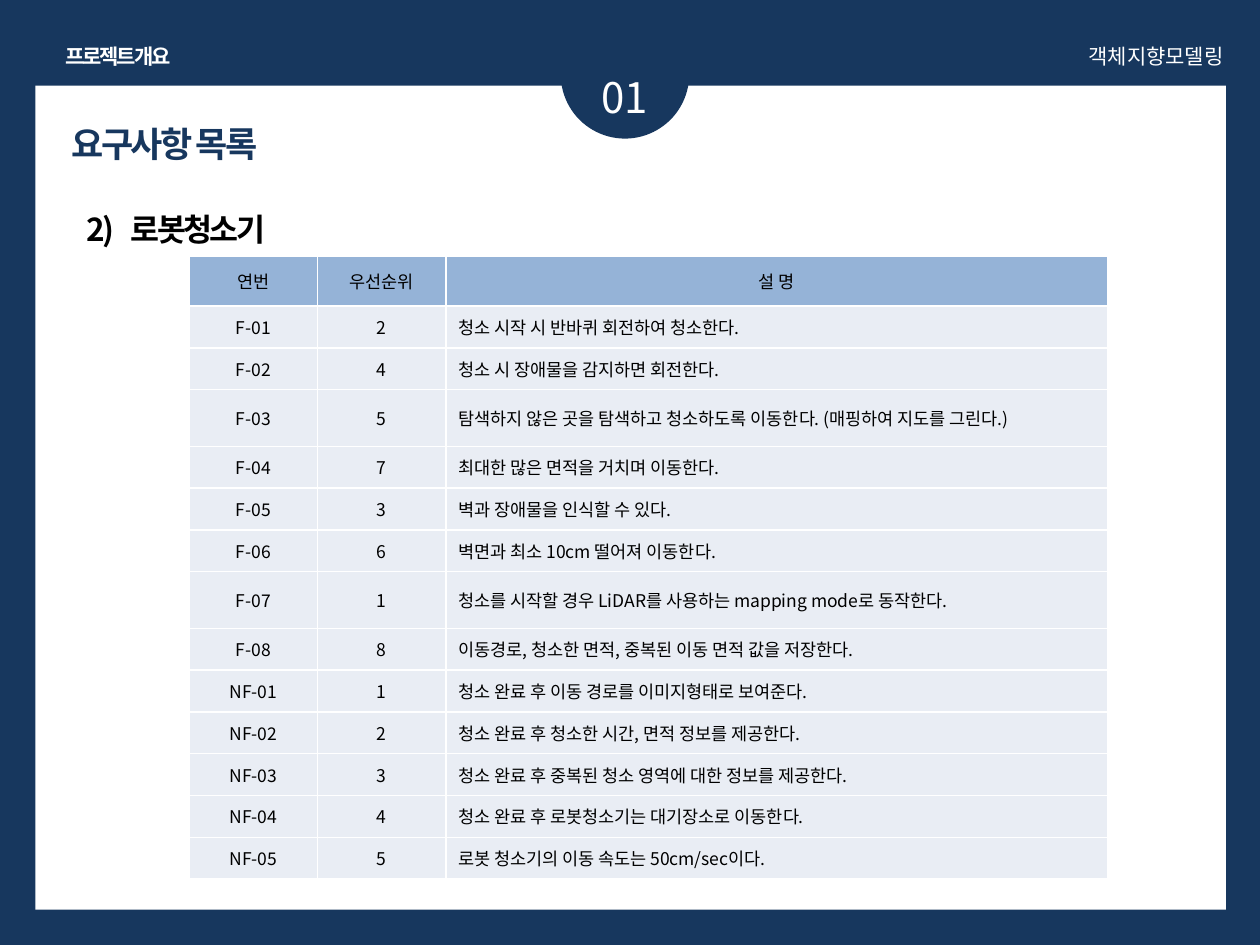
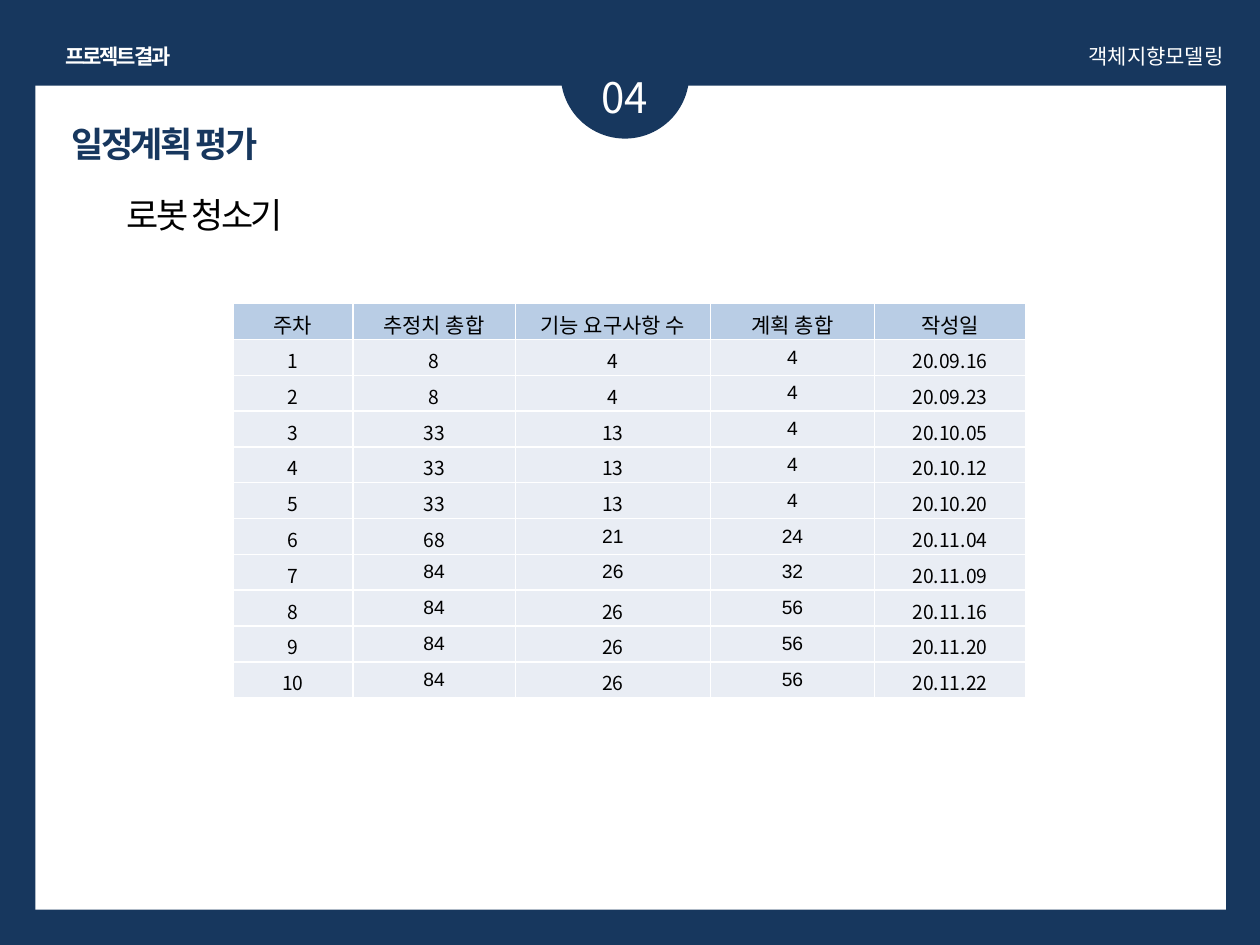
from dataclasses import dataclass

from lxml.etree import SubElement
from pptx import Presentation
from pptx.dml.color import RGBColor
from pptx.enum.shapes import MSO_SHAPE as Preset
from pptx.enum.text import MSO_ANCHOR as Anchor, MSO_AUTO_SIZE as AutoSize, PP_ALIGN as Align
from pptx.oxml.ns import qn
from pptx.util import Inches, Pt


@dataclass(frozen=True)
class Theme:
    navy: str = "17375E"
    white: str = "FFFFFF"
    black: str = "000000"
    requirement_head: str = "95B3D7"
    schedule_head: str = "B9CDE5"
    body_fill: str = "E9EDF4"
    korean: str = "Noto Sans CJK KR"
    latin: str = "Arial"
    number_size: int = 24
    title_size: int = 20
    subtitle_size: int = 18
    band_size: int = 12
    requirement_size: int = 10
    schedule_size: int = 11


theme = Theme()


def style(paragraph, size, color, font=theme.korean, align=Align.LEFT, bold=False, tight=False):
    """Format the runs of a paragraph, with Korean glyphs always from one font."""
    paragraph.alignment = align
    for run in paragraph.runs:
        run.font.size = Pt(size)
        run.font.bold = bold
        run.font.color.rgb = RGBColor.from_string(color)
        run.font.name = font
        properties = run._r.get_or_add_rPr()
        SubElement(properties, qn("a:ea")).set("typeface", theme.korean)
        if tight:
            properties.set("spc", "-150")


def add_label(slide, text, box, size, color, wrap=True, **look):
    label = slide.shapes.add_textbox(*map(Inches, box)).text_frame
    label.word_wrap = wrap
    label.auto_size = AutoSize.SHAPE_TO_FIT_TEXT
    label.text = text
    style(label.paragraphs[0], size, color, **look)
    return label.paragraphs[0]


deck = Presentation()
deck.slide_width, deck.slide_height = Inches(10), Inches(7.5)

# Frame shared by the slides: panel, number badge, band and title
pages = [
    ("01", "프로젝트 개요", "요구사항 목록"),
    ("04", "프로젝트 결과", "일정계획 평가"),
]
slides = []
for number, section, title in pages:
    slide = deck.slides.add_slide(deck.slide_layouts[6])
    slide.background.fill.solid()
    slide.background.fill.fore_color.rgb = RGBColor.from_string(theme.navy)
    for preset, box, color in (
        (Preset.RECTANGLE, (0.28, 0.68, 9.45, 6.54), theme.white),
        (Preset.OVAL, (4.45, 0.08, 1.02, 1.02), theme.navy),
    ):
        backdrop = slide.shapes.add_shape(preset, *map(Inches, box))
        backdrop.shadow.inherit = False
        backdrop.fill.solid()
        backdrop.fill.fore_color.rgb = RGBColor.from_string(color)
        backdrop.line.fill.background()
    add_label(slide, number, (4.37, 0.52, 1.18, 0.5), theme.number_size, theme.white,
              align=Align.CENTER)
    add_label(slide, section, (0.38, 0.3, 1.12, 0.3), theme.band_size, theme.white,
              wrap=False, align=Align.CENTER, bold=True, tight=True)
    add_label(slide, "객체지향모델링", (5.87, 0.3, 3.94, 0.3), theme.band_size, theme.white,
              align=Align.RIGHT)
    add_label(slide, title, (0.47, 0.92, 2.56, 0.44), theme.title_size, theme.navy,
              font=theme.latin, bold=True, tight=True)
    slides.append(slide)
requirement_slide, schedule_slide = slides

# Subtitles: a hanging number on the first, a double-spaced line on the second
robot = add_label(requirement_slide, "2)\t로봇청소기", (0.59, 1.62, 7.4, 0.4),
                  theme.subtitle_size, theme.black, bold=True, tight=True)
hanging = robot._p.get_or_add_pPr()
hanging.set("marL", str(Inches(0.35)))
hanging.set("indent", str(-Inches(0.35)))
robot = add_label(schedule_slide, "로봇 청소기", (0.91, 1.15, 8.5, 0.67),
                  theme.title_size, theme.black, tight=True)
robot.line_spacing = 2.0

# Table contents
requirements = [
    ("연번", "우선순위", "설 명"),
    ("F-01", "2", "청소 시작 시 반바퀴 회전하여 청소한다."),
    ("F-02", "4", "청소 시 장애물을 감지하면 회전한다."),
    ("F-03", "5", "탐색하지 않은 곳을 탐색하고 청소하도록 이동한다. (매핑하여 지도를 그린다.)"),
    ("F-04", "7", "최대한 많은 면적을 거치며 이동한다."),
    ("F-05", "3", "벽과 장애물을 인식할 수 있다."),
    ("F-06", "6", "벽면과 최소 10cm 떨어져 이동한다."),
    ("F-07", "1", "청소를 시작할 경우 LiDAR를 사용하는 mapping mode로 동작한다."),
    ("F-08", "8", "이동경로, 청소한 면적, 중복된 이동 면적 값을 저장한다."),
    ("NF-01", "1", "청소 완료 후 이동 경로를 이미지형태로 보여준다."),
    ("NF-02", "2", "청소 완료 후 청소한 시간, 면적 정보를 제공한다."),
    ("NF-03", "3", "청소 완료 후 중복된 청소 영역에 대한 정보를 제공한다."),
    ("NF-04", "4", "청소 완료 후 로봇청소기는 대기장소로 이동한다."),
    ("NF-05", "5", "로봇 청소기의 이동 속도는 50cm/sec이다."),
]
schedule = [
    ("주차", "추정치 총합", "기능 요구사항 수", "계획 총합", "작성일"),
    ("1", "8", "4", "4", "20.09.16"),
    ("2", "8", "4", "4", "20.09.23"),
    ("3", "33", "13", "4", "20.10.05"),
    ("4", "33", "13", "4", "20.10.12"),
    ("5", "33", "13", "4", "20.10.20"),
    ("6", "68", "21", "24", "20.11.04"),
    ("7", "84", "26", "32", "20.11.09"),
    ("8", "84", "26", "56", "20.11.16"),
    ("9", "84", "26", "56", "20.11.20"),
    ("10", "84", "26", "56", "20.11.22"),
]

# Row heights: the tall requirement rows are fixed, the others share the rest
tall_rows = {0: 0.4, 3: 0.45, 7: 0.45}
plain_height = (4.95 - sum(tall_rows.values())) / (len(requirements) - len(tall_rows))
requirement_heights = [tall_rows.get(r, plain_height) for r in range(len(requirements))]
schedule_heights = [3.13 / len(schedule)] * len(schedule)

# Schedule figures set in the Latin font, as (week, column)
latin_cells = {(week, 3) for week in range(1, 11)}
latin_cells |= {(week, 1) for week in range(7, 11)} | {(6, 2), (7, 2)}

# Both tables
tables = [
    (requirement_slide, requirements, (1.5, 2.03), (1.02, 1.02, 5.25), requirement_heights,
     theme.requirement_head, theme.requirement_size, theme.requirement_size),
    (schedule_slide, schedule, (1.85, 2.41), (0.95, 1.29, 1.55, 1.3, 1.2), schedule_heights,
     theme.schedule_head, theme.band_size, theme.schedule_size),
]
for slide, rows, corner, widths, heights, head_fill, head_size, body_size in tables:
    extent = (*corner, sum(widths), sum(heights))
    grid = slide.shapes.add_table(len(rows), len(widths), *map(Inches, extent)).table
    for column, width in zip(grid.columns, widths):
        column.width = Inches(width)
    for r, (values, height) in enumerate(zip(rows, heights)):
        grid.rows[r].height = Inches(height)
        for c, value in enumerate(values):
            cell = grid.cell(r, c)
            cell.text = value
            cell.vertical_anchor = Anchor.MIDDLE
            font = theme.korean
            if rows is schedule:
                font = theme.latin if (r, c) in latin_cells else theme.korean
                top, bottom = (0.02, 0.02) if font == theme.latin else (0.04, 0)
                cell.margin_top, cell.margin_bottom = Inches(top), Inches(bottom)
            description = rows is requirements and r > 0 and c == 2
            style(cell.text_frame.paragraphs[0], body_size if r else head_size, theme.black,
                  font=font, align=Align.LEFT if description else Align.CENTER)
            # White rules on every side, then the fill
            for side in ("lnL", "lnR", "lnT", "lnB"):
                rule = SubElement(cell._tc.get_or_add_tcPr(), qn(f"a:{side}"), w=str(Pt(1)))
                ink = SubElement(rule, qn("a:solidFill"))
                SubElement(ink, qn("a:srgbClr"), val=theme.white)
            cell.fill.solid()
            cell.fill.fore_color.rgb = RGBColor.from_string(theme.body_fill if r else head_fill)

deck.save("out.pptx")
